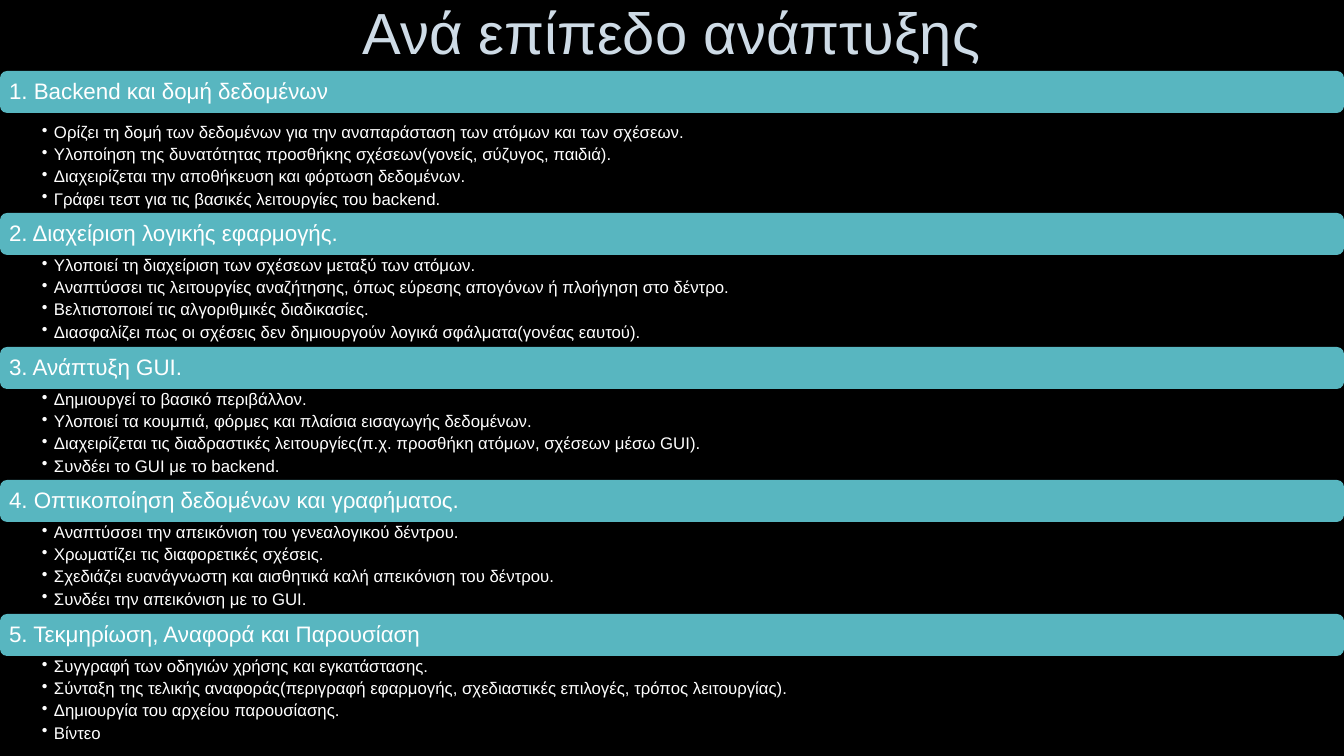
import dataclasses

import pptx
import pptx.dml.color
import pptx.enum.shapes
import pptx.enum.text
import pptx.oxml
import pptx.oxml.ns
import pptx.util

EMU_PER_PX = 914400 / 100.8
ALIGN = pptx.enum.text.PP_ALIGN
ANCHOR = pptx.enum.text.MSO_ANCHOR
WIDTH, HEIGHT = 1344, 756
BAR_HEIGHT, LIST_HEIGHT = 42, 92
FIRST_BAR_TOP, FIRST_LIST_TOP = 71, 122
SECOND_BAR_TOP, LAST_BAR_TOP = 213, 614
INDENT = 12


@dataclasses.dataclass(frozen=True)
class Theme:
    font: str = "Arial"
    background: str = "000000"
    title: str = "CEDBE6"
    bar: str = "58B6C0"
    text: str = "FFFFFF"
    title_size: float = 41.4
    heading_size: float = 16
    list_size: float = 12
    list_gap: float = 2.9


THEME = Theme()
TITLE = "Ανά επίπεδο ανάπτυξης"
SECTIONS = [
    ("1. Backend και δομή δεδομένων", [
        "Ορίζει τη δομή των δεδομένων για την αναπαράσταση των ατόμων και των σχέσεων.",
        "Υλοποίηση της δυνατότητας προσθήκης σχέσεων(γονείς, σύζυγος, παιδιά).",
        "Διαχειρίζεται την αποθήκευση και φόρτωση δεδομένων.",
        "Γράφει τεστ για τις βασικές λειτουργίες του backend.",
    ]),
    ("2. Διαχείριση λογικής εφαρμογής.", [
        "Υλοποιεί τη διαχείριση των σχέσεων μεταξύ των ατόμων.",
        "Αναπτύσσει τις λειτουργίες αναζήτησης, όπως εύρεσης απογόνων ή πλοήγηση στο δέντρο.",
        "Βελτιστοποιεί τις αλγοριθμικές διαδικασίες.",
        "Διασφαλίζει πως οι σχέσεις δεν δημιουργούν λογικά σφάλματα(γονέας εαυτού).",
    ]),
    ("3. Ανάπτυξη GUI.", [
        "Δημιουργεί το βασικό περιβάλλον.",
        "Υλοποιεί τα κουμπιά, φόρμες και πλαίσια εισαγωγής δεδομένων.",
        "Διαχειρίζεται τις διαδραστικές λειτουργίες(π.χ. προσθήκη ατόμων, σχέσεων μέσω GUI).",
        "Συνδέει το GUI με το backend.",
    ]),
    ("4. Οπτικοποίηση δεδομένων και γραφήματος.", [
        "Αναπτύσσει την απεικόνιση του γενεαλογικού δέντρου.",
        "Χρωματίζει τις διαφορετικές σχέσεις.",
        "Σχεδιάζει ευανάγνωστη και αισθητικά καλή απεικόνιση του δέντρου.",
        "Συνδέει την απεικόνιση με το GUI.",
    ]),
    ("5. Τεκμηρίωση, Αναφορά και Παρουσίαση", [
        "Συγγραφή των οδηγιών χρήσης και εγκατάστασης.",
        "Σύνταξη της τελικής αναφοράς(περιγραφή εφαρμογής, σχεδιαστικές επιλογές, τρόπος λειτουργίας).",
        "Δημιουργία του αρχείου παρουσίασης.",
        "Βίντεο",
    ]),
]


def px(length):
    return pptx.util.Emu(round(length * EMU_PER_PX))


def color(value):
    return pptx.dml.color.RGBColor.from_string(value)


def apply_format(target, values):
    for name, value in values.items():
        setattr(target, name, value)


def format_frame(frame, margins, anchor):
    left, top, right, bottom = map(px, margins)
    apply_format(frame, {
        "margin_left": left, "margin_top": top,
        "margin_right": right, "margin_bottom": bottom,
        "vertical_anchor": anchor, "word_wrap": True,
        "auto_size": pptx.enum.text.MSO_AUTO_SIZE.NONE,
    })


def write_paragraph(paragraph, text, size, text_color, alignment=ALIGN.LEFT, gap=0):
    paragraph.text = text
    apply_format(paragraph, {
        "alignment": alignment, "line_spacing": 0.9,
        "space_before": pptx.util.Pt(0), "space_after": pptx.util.Pt(gap),
    })
    font = paragraph.runs[0].font
    apply_format(font, {"name": THEME.font, "size": pptx.util.Pt(size)})
    font.color.rgb = color(text_color)


def add_bullet(paragraph):
    paragraph.level = 1
    properties = paragraph._p.get_or_add_pPr()
    properties.set("marL", str(px(INDENT)))
    properties.set("indent", str(-px(INDENT)))
    bullet = pptx.oxml.parse_xml(
        f'<a:buChar {pptx.oxml.ns.nsdecls("a")} char="•"/>')
    properties.append(bullet)


def add_title(slide):
    title = slide.shapes.title
    apply_format(title, {
        "left": px(101), "top": px(0), "width": px(1141), "height": px(71)})
    format_frame(title.text_frame, (10, 5, 10, 5), ANCHOR.MIDDLE)
    write_paragraph(title.text_frame.paragraphs[0], TITLE,
                    THEME.title_size, THEME.title, ALIGN.CENTER)


def add_heading_bar(slide, heading, top):
    bar = slide.shapes.add_shape(
        pptx.enum.shapes.MSO_SHAPE.ROUNDED_RECTANGLE,
        px(0), px(top), px(WIDTH), px(BAR_HEIGHT))
    bar.shadow.inherit = False
    bar.fill.solid()
    bar.fill.fore_color.rgb = color(THEME.bar)
    bar.line.fill.background()
    format_frame(bar.text_frame, (7, 7, 7, 7), ANCHOR.MIDDLE)
    write_paragraph(bar.text_frame.paragraphs[0], heading,
                    THEME.heading_size, THEME.text)


def add_task_list(slide, tasks, top):
    box = slide.shapes.add_textbox(px(0), px(top), px(WIDTH), px(LIST_HEIGHT))
    frame = box.text_frame
    format_frame(frame, (42, 2, 12, 2), ANCHOR.TOP)
    for index, task in enumerate(tasks):
        paragraph = frame.add_paragraph() if index else frame.paragraphs[0]
        write_paragraph(paragraph, task, THEME.list_size, THEME.text,
                        gap=THEME.list_gap)
        add_bullet(paragraph)


def section_tops(index):
    if index == 0:
        return FIRST_BAR_TOP, FIRST_LIST_TOP
    step = (LAST_BAR_TOP - SECOND_BAR_TOP) / (len(SECTIONS) - 2)
    bar_top = round(SECOND_BAR_TOP + (index - 1) * step)
    return bar_top, bar_top + BAR_HEIGHT


def main():
    presentation = pptx.Presentation()
    apply_format(presentation, {
        "slide_width": px(WIDTH), "slide_height": px(HEIGHT)})
    slide = presentation.slides.add_slide(
        presentation.slide_layouts.get_by_name("Title Only"))
    slide.background.fill.solid()
    slide.background.fill.fore_color.rgb = color(THEME.background)
    add_title(slide)
    for index, (heading, tasks) in enumerate(SECTIONS):
        bar_top, list_top = section_tops(index)
        add_heading_bar(slide, heading, bar_top)
        add_task_list(slide, tasks, list_top)
    presentation.save("out.pptx")


if __name__ == "__main__":
    main()
